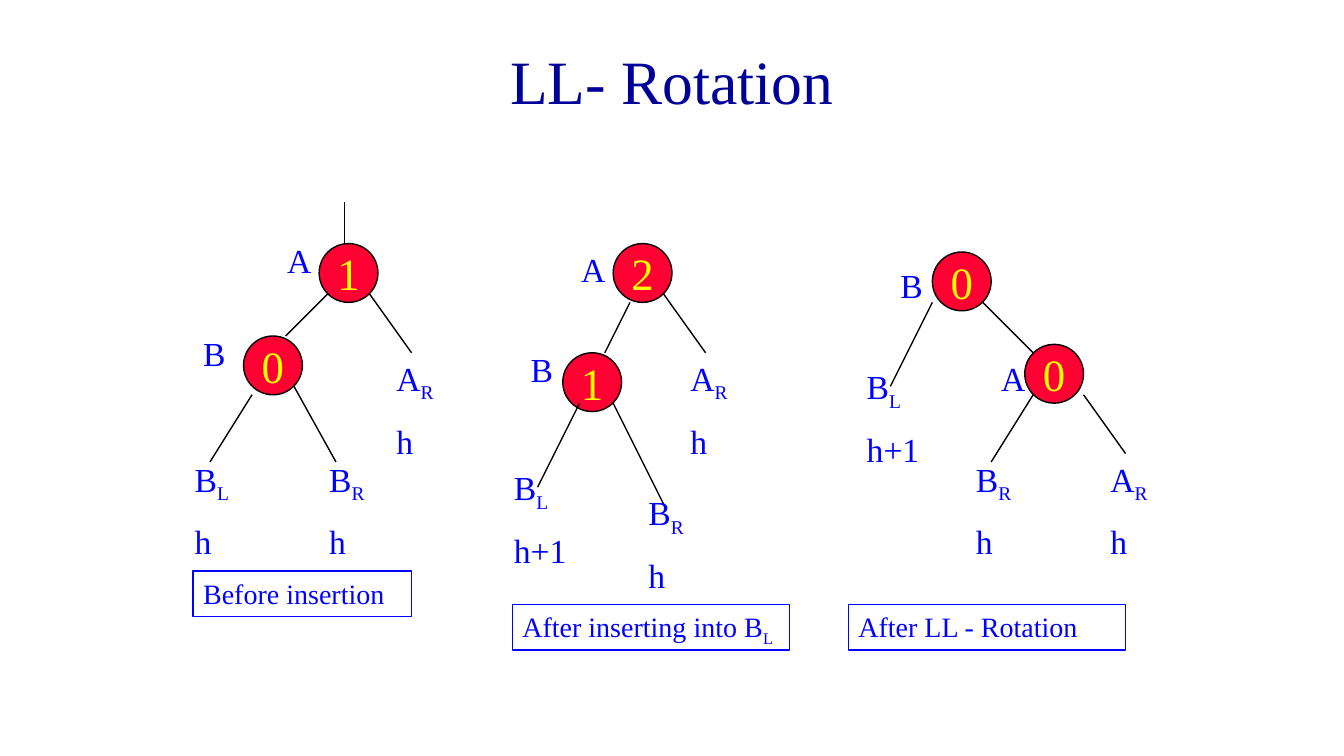
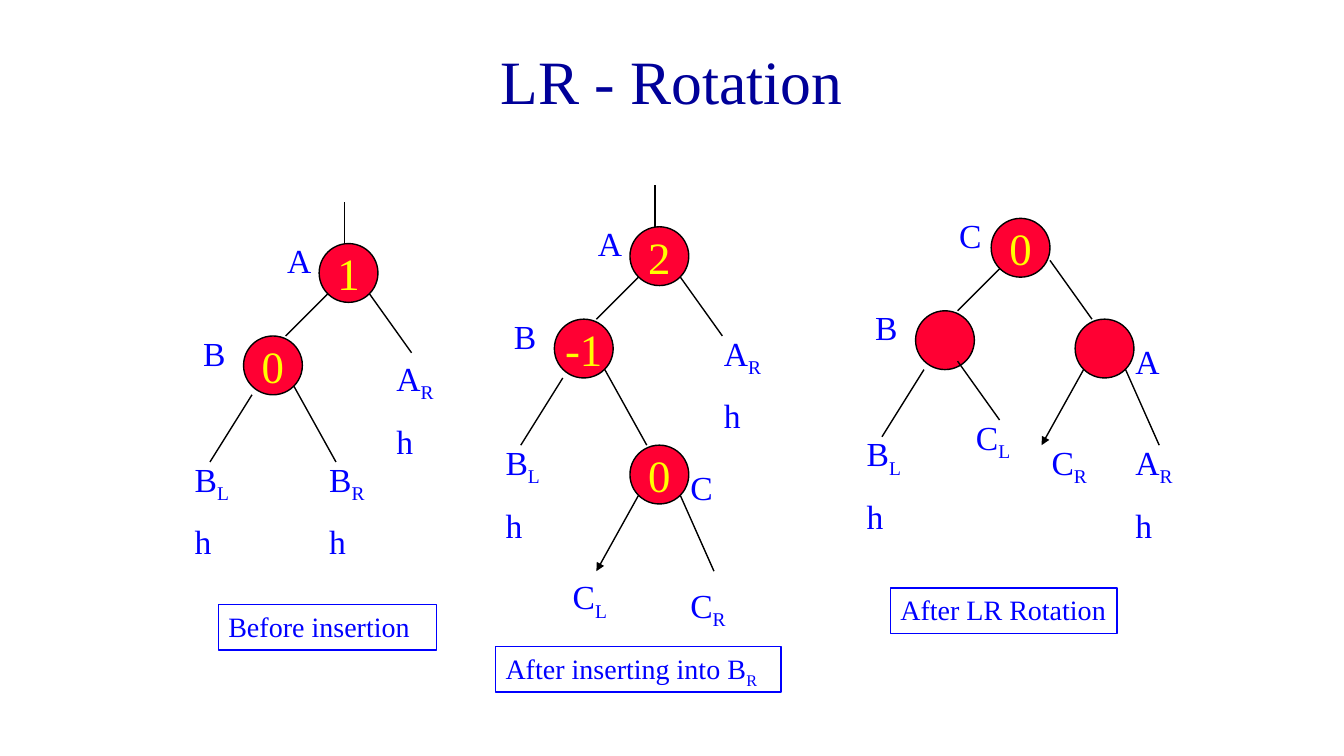
import pptx
import pptx.dml.color
import pptx.enum.shapes
import pptx.enum.text
import pptx.oxml.ns
import pptx.util
from lxml import etree

FONT = "Times New Roman"
NAVY, BLUE, RED, YELLOW, BLACK = "000099", "0000FF", "FF0033", "FFFF00", "000000"
COLUMNS, ROWS = 160, 90
NODE_SIZE = 7


def color(code):
    """Turn a hex string into a colour."""
    return pptx.dml.color.RGBColor.from_string(code)


def cells(*counts):
    """Turn counts of grid cells, twelve to the inch, into lengths."""
    return [pptx.util.Inches(count / 12) for count in counts]


class RotationDeck:
    """Hold the style and the current slide of the tree diagrams."""

    def __init__(self):
        """Start an empty wide presentation."""
        self.presentation = pptx.Presentation()
        (self.presentation.slide_width,
         self.presentation.slide_height) = cells(COLUMNS, ROWS)
        self.slide = None

    def start(self, heading):
        """Add a slide with its heading."""
        layout = self.presentation.slide_layouts[5]
        self.slide = self.presentation.slides.add_slide(layout)
        title = self.slide.shapes.title
        title.left, title.top, title.width, title.height = cells(12, 2, 136, 15)
        frame = title.text_frame
        frame.vertical_anchor = pptx.enum.text.MSO_ANCHOR.MIDDLE
        paragraph = frame.paragraphs[0]
        paragraph.alignment = pptx.enum.text.PP_ALIGN.CENTER
        self.add_text(paragraph, heading, 44, NAVY)

    def add_text(self, paragraph, text, size, ink, lowered=False):
        """Add one run, lowered when it is a subscript."""
        run = paragraph.add_run()
        run.text = text
        run.font.name, run.font.size = FONT, pptx.util.Pt(size)
        run.font.color.rgb = color(ink)
        if lowered:
            run._r.get_or_add_rPr().set("baseline", "-25000")

    def fill_frame(self, frame, text, size):
        """Set lines split at a slash, with subscripts after an underscore."""
        frame.word_wrap = True
        frame.auto_size = pptx.enum.text.MSO_AUTO_SIZE.SHAPE_TO_FIT_TEXT
        frame.vertical_anchor = pptx.enum.text.MSO_ANCHOR.TOP
        for index, line in enumerate(text.split("/")):
            paragraph = frame.add_paragraph() if index else frame.paragraphs[0]
            paragraph.alignment = pptx.enum.text.PP_ALIGN.LEFT
            paragraph.space_before = pptx.util.Pt(size / 2)
            base, _, subscript = line.partition("_")
            self.add_text(paragraph, base, size, BLUE)
            if subscript:
                self.add_text(paragraph, subscript, size, BLUE, lowered=True)

    def outline(self, line, ink):
        """Give a line its colour and width."""
        line.color.rgb = color(ink)
        line.width = pptx.util.Pt(1)

    def node(self, balance, column, row):
        """Draw a tree node with its balance factor."""
        circle = self.slide.shapes.add_shape(
            pptx.enum.shapes.MSO_SHAPE.OVAL,
            *cells(column, row, NODE_SIZE, NODE_SIZE))
        circle.shadow.inherit = False
        circle.fill.solid()
        circle.fill.fore_color.rgb = color(RED)
        self.outline(circle.line, BLACK)
        if balance:
            frame = circle.text_frame
            frame.word_wrap = False
            frame.vertical_anchor = pptx.enum.text.MSO_ANCHOR.MIDDLE
            paragraph = frame.paragraphs[0]
            paragraph.alignment = pptx.enum.text.PP_ALIGN.CENTER
            self.add_text(paragraph, balance, 32, YELLOW)

    def branch(self, *ends, arrow=False):
        """Draw a branch, with an arrowhead at its end if asked."""
        link = self.slide.shapes.add_connector(
            pptx.enum.shapes.MSO_CONNECTOR.STRAIGHT, *cells(*ends))
        self.outline(link.line, BLACK)
        if arrow:
            head = etree.SubElement(link.line._get_or_add_ln(),
                                    pptx.oxml.ns.qn("a:tailEnd"))
            head.set("type", "triangle")
        etree.SubElement(link._element.spPr, pptx.oxml.ns.qn("a:effectLst"))

    def label(self, text, column, row):
        """Name a node or a subtree, with the height below it."""
        if "/" in text:
            width, height = 9, 13.3
        else:
            width, height = (8 if "_" in text else 6), 6
        box = self.slide.shapes.add_textbox(*cells(column, row, width, height))
        self.fill_frame(box.text_frame, text, 24)

    def caption(self, text, column, row, width):
        """Frame the caption of a tree."""
        box = self.slide.shapes.add_shape(
            pptx.enum.shapes.MSO_SHAPE.RECTANGLE, *cells(column, row, width, 5.4))
        box.shadow.inherit = False
        box.fill.background()
        self.outline(box.line, BLUE)
        self.fill_frame(box.text_frame, text, 20)

    def tree(self, nodes, branches, labels, caption, arrows=()):
        """Draw a captioned tree."""
        for node in nodes:
            self.node(*node)
        for branch in branches:
            self.branch(*branch)
        for arrow in arrows:
            self.branch(*arrow, arrow=True)
        for label in labels:
            self.label(*label)
        self.caption(*caption)


BEFORE_BRANCHES = [(39, 35, 34, 40), (44, 35, 49, 42), (41, 29, 41, 24),
                   (30, 47, 25, 55), (35, 46, 40, 55)]
BEFORE = dict(
    nodes=[("1", 38, 29), ("0", 29, 40)],
    branches=BEFORE_BRANCHES,
    labels=[("B", 23, 39), ("A", 33, 28), ("B_L/h", 22, 54),
            ("B_R/h", 38, 54), ("A_R/h", 46, 42)])

LL_INSERTED = dict(
    nodes=[("2", 73, 29), ("1", 67, 42)],
    branches=[(75, 36, 72, 42), (69, 48, 64, 58), (73, 48, 79, 60),
              (79, 35, 84, 42)],
    labels=[("A", 68, 29), ("B", 62, 41), ("B_L/h+1", 60, 55),
            ("B_R/h", 76, 58), ("A_R/h", 81, 42)],
    caption=("After inserting into B_L", 61, 72, 33))

LL_ROTATED = dict(
    nodes=[("0", 111, 30), ("0", 122, 41)],
    branches=[(117, 36, 123, 42), (111, 36, 106, 46), (123, 47, 118, 55),
              (129, 47, 134, 54)],
    labels=[("B_L/h+1", 102, 43), ("B_R/h", 115, 54), ("A_R/h", 131, 54),
            ("B", 106, 31), ("A", 118, 42)],
    caption=("After LL - Rotation", 101, 72, 33))

LR_INSERTED = dict(
    nodes=[("2", 75, 27), ("-1", 66, 38), ("0", 75, 53)],
    branches=[(x1 + 37, y1 - 2, x2 + 37, y2 - 2)
              for x1, y1, x2, y2 in BEFORE_BRANCHES] + [(81, 59, 85, 68)],
    arrows=[(76, 59, 71, 68)],
    labels=[("B", 60, 37), ("A", 70, 26), ("B_L/h", 59, 52), ("A_R/h", 85, 39),
            ("C", 81, 55), ("C_L", 67, 68), ("C_R", 81, 69)],
    caption=("After inserting into B_R", 59, 77, 34))

LR_ROTATED = dict(
    nodes=[("0", 118, 26), ("", 109, 37), ("", 128, 38)],
    branches=[(119, 32, 114, 37), (114, 43, 119, 50), (110, 44, 105, 52),
              (125, 31, 130, 38), (134, 44, 138, 53)],
    arrows=[(129, 44, 124, 53)],
    labels=[("B", 103, 36), ("C", 113, 25), ("B_L/h", 102, 51),
            ("A_R/h", 134, 52), ("A", 134, 40), ("C_R", 124, 52),
            ("C_L", 115, 49)],
    caption=("After LR Rotation", 106, 70, 27))


def main():
    """Build both rotation slides and save them."""
    deck = RotationDeck()
    rotations = [("LL- Rotation", (23, 68), LL_INSERTED, LL_ROTATED),
                 ("LR - Rotation", (26, 72), LR_INSERTED, LR_ROTATED)]
    for heading, corner, inserted, rotated in rotations:
        deck.start(heading)
        deck.tree(**BEFORE, caption=("Before insertion", *corner, 26))
        deck.tree(**inserted)
        deck.tree(**rotated)
    deck.presentation.save("out.pptx")


if __name__ == "__main__":
    main()
